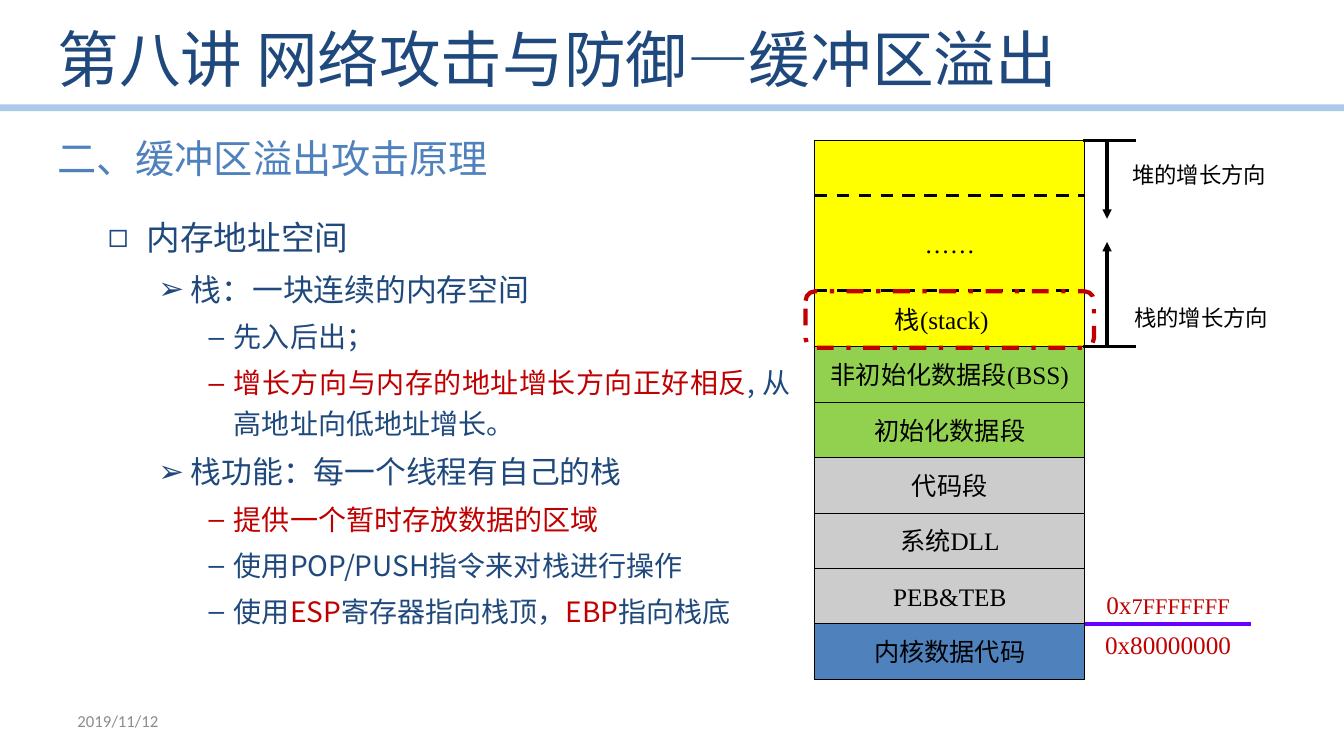
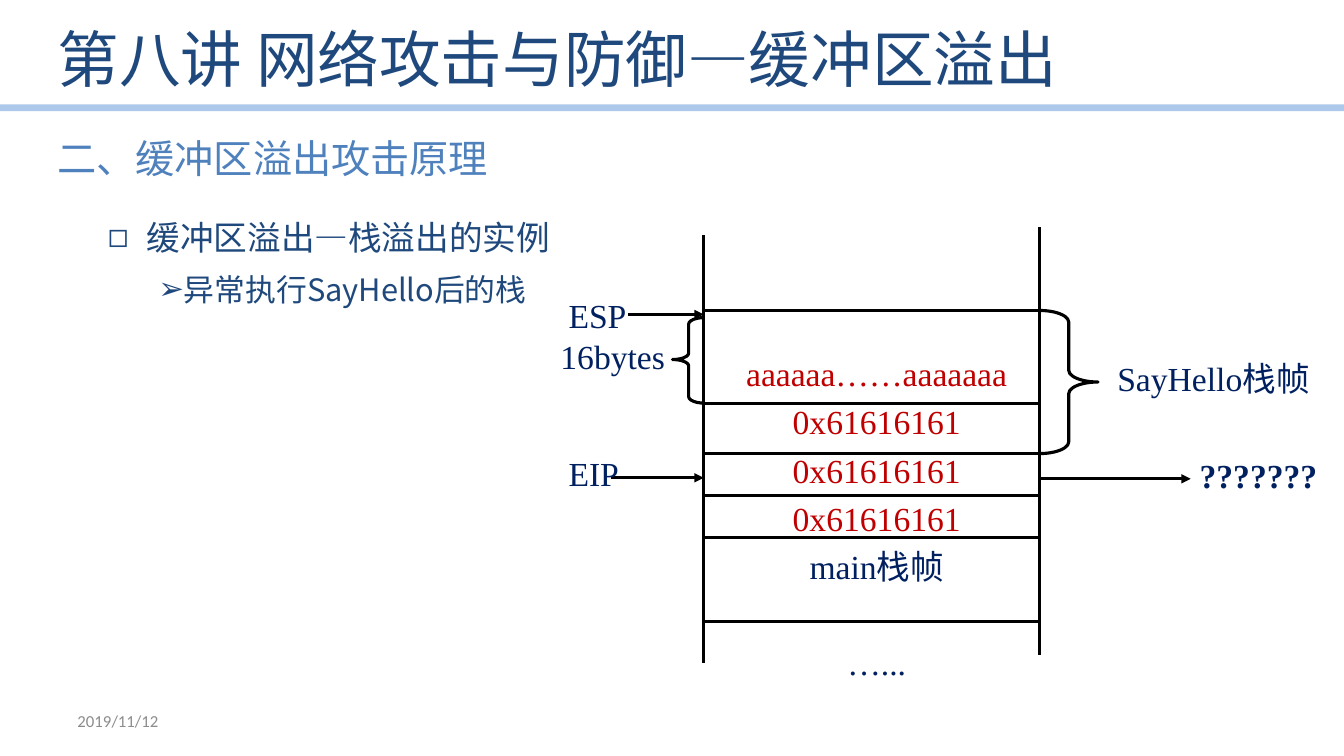
import pptx
import pptx.util
import pptx.dml.color
import pptx.enum.dml
import pptx.enum.shapes
import pptx.enum.text
import pptx.oxml
import pptx.oxml.ns

Inches, Pt = pptx.util.Inches, pptx.util.Pt
ALIGN = pptx.enum.text.PP_ALIGN
ANCHOR = pptx.enum.text.MSO_ANCHOR
SHAPE = pptx.enum.shapes.MSO_SHAPE
DASH = pptx.enum.dml.MSO_LINE

COLORS = {
    "title": "1F497D", "section": "4F81BD", "band": "8EB4E3", "date": "8C8C8C",
    "red": "C00000", "navy": "002060", "black": "000000", "purple": "6600FF",
    "yellow": "FFFF00", "green": "92D050", "gray": "CCCCCC", "blue": "4F81BD",
}
SANS, SERIF, SMALL = "Noto Sans CJK SC", "Times New Roman", "Calibri"

TITLE = "第八讲 网络攻击与防御—缓冲区溢出"
SECTION = "二、缓冲区溢出攻击原理"
DATE = "2019/11/12"
WIDTH, HEIGHT = 13.33, 7.5
MARGIN = 0.47
RULE_Y = 1.07

# level: (bullet, left margin, hanging indent, size)
LEVELS = {
    1: ("◻", 0.81, -0.31, 24),
    2: ("➢", 1.25, -0.25, 22),
    3: ("–", 1.75, -0.25, 20),
}
# each item: level, then (text, colour) runs
MEMORY_POINTS = [
    (1, [(" 内存地址空间", "title")]),
    (2, [(" 栈：一块连续的内存空间", "title")]),
    (3, [("先入后出；", "title")]),
    (3, [("增长方向与内存的地址增长方向正好相反", "red"),
         (", 从高地址向低地址增长。", "title")]),
    (2, [(" 栈功能：每一个线程有自己的栈", "title")]),
    (3, [("提供一个暂时存放数据的区域", "red")]),
    (3, [("使用POP/PUSH指令来对栈进行操作", "title")]),
    (3, [("使用", "title"), ("ESP", "red"), ("寄存器指向栈顶，", "title"),
         ("EBP", "red"), ("指向栈底", "title")]),
]
EXAMPLE_POINTS = [
    (1, [(" 缓冲区溢出—栈溢出的实例", "title")]),
    (2, [("异常执行SayHello后的栈", "title")]),
]
SEGMENTS = [
    ("非初始化数据段(BSS)", "green"), ("初始化数据段", "green"),
    ("代码段", "gray"), ("系统DLL", "gray"), ("PEB&TEB", "gray"),
    ("内核数据代码", "blue"),
]
FRAME_ROWS = [
    ("aaaaaa……aaaaaaa", "red"), ("0x61616161", "red"), ("0x61616161", "red"),
    ("0x61616161", "red"), ("main栈帧", "navy"), ("…...", "navy"),
]


def rgb(name):
    return pptx.dml.color.RGBColor.from_string(COLORS[name])


def add_element(parent, tag, **attributes):
    element = pptx.oxml.parse_xml(f"<a:{tag} {pptx.oxml.ns.nsdecls('a')}/>")
    for key, value in attributes.items():
        element.set(key, value)
    parent.append(element)
    return element


def add_run(para, text, size, color, font=SERIF, bold=False):
    span = para.add_run()
    span.text = text
    for key, value in {"size": Pt(size), "name": font, "bold": bold}.items():
        setattr(span.font, key, value)
    span.font.color.rgb = rgb(color)
    add_element(span.font._element, "ea", typeface=SANS)


def format_frame(frame, wrap=True, anchor=ANCHOR.TOP):
    values = {"word_wrap": wrap, "vertical_anchor": anchor,
              "auto_size": pptx.enum.text.MSO_AUTO_SIZE.NONE}
    for key, value in values.items():
        setattr(frame, key, value)


def add_label(slide, place, runs, align=ALIGN.LEFT, wrap=False, anchor=ANCHOR.TOP):
    """Add a one-paragraph text box; each run holds the arguments of add_run."""
    box = slide.shapes.add_textbox(*map(Inches, place))
    format_frame(box.text_frame, wrap, anchor)
    para = box.text_frame.paragraphs[0]
    para.alignment = align
    for run in runs:
        add_run(para, *run)


def add_line(slide, start, end, color="black", width=2.25, dash=None, arrow=False):
    line = slide.shapes.add_connector(
        pptx.enum.shapes.MSO_CONNECTOR.STRAIGHT, *map(Inches, (*start, *end)))
    line.line.color.rgb = rgb(color)
    line.line.width = Pt(width)
    if dash:
        line.line.dash_style = dash
    if arrow:
        add_element(line.line._ln, "tailEnd", type="triangle")
    add_element(line.element.spPr, "effectLst")
    return line


def add_outline(slide, kind, place, fill=None, color="black", width=2.25, text=None):
    shape = slide.shapes.add_shape(kind, *map(Inches, place))
    shape.shadow.inherit = False
    if fill:
        shape.fill.solid()
        shape.fill.fore_color.rgb = rgb(fill)
    else:
        shape.fill.background()
    shape.line.color.rgb = rgb(color)
    shape.line.width = Pt(width)
    if text:
        format_frame(shape.text_frame, False, ANCHOR.MIDDLE)
        para = shape.text_frame.paragraphs[0]
        para.alignment = ALIGN.CENTER
        add_run(para, text, 18, "black")
    return shape


def place_shape(shape, place):
    for key, value in zip(("left", "top", "width", "height"), place):
        setattr(shape, key, Inches(value))


def fill_list(frame, points):
    format_frame(frame)
    for index, (level, runs) in enumerate(points):
        bullet, margin, indent, size = LEVELS[level]
        para = frame.paragraphs[0] if index == 0 else frame.add_paragraph()
        values = {"level": level, "alignment": ALIGN.JUSTIFY, "line_spacing": 1.2,
                  "space_before": Pt(size * 0.2 if index else 0)}
        for key, value in values.items():
            setattr(para, key, value)
        properties = para._p.get_or_add_pPr()
        properties.set("marL", str(Inches(margin)))
        properties.set("indent", str(Inches(indent)))
        add_element(properties, "buChar", char=bullet)
        for text, color in runs:
            add_run(para, text, size, color, SANS)


def prepare_layout(deck):
    """Place the shared title and body on the layout."""
    layout = deck.slide_layouts[1]
    title, body = list(layout.placeholders)[:2]
    place_shape(title, (MARGIN, 0.09, 11.02, 0.97))
    place_shape(body, (MARGIN, 2.02, 11.31, 4.41))
    return layout


def add_band(slide, layout):
    """Draw the rule under the title and move it to the layout."""
    band = add_line(slide, (0, RULE_Y), (WIDTH, RULE_Y), "band", 4.75)
    for color in band.line._ln.iter(pptx.oxml.ns.qn("a:srgbClr")):
        add_element(color, "alpha", val="73000")
    layout.shapes.element.append(band.element)


def add_page(deck, layout, points):
    slide = deck.slides.add_slide(layout)
    title, body = slide.placeholders
    format_frame(title.text_frame, anchor=ANCHOR.MIDDLE)
    para = title.text_frame.paragraphs[0]
    para.alignment = ALIGN.LEFT
    add_run(para, TITLE, 44, "title", SANS)
    fill_list(body.text_frame, points)
    add_label(slide, (0.67, 6.95, 3.11, 0.4), [(DATE, 12, "date", SMALL)],
              wrap=True, anchor=ANCHOR.MIDDLE)
    add_label(slide, (MARGIN, 1.28, 4.52, 0.57), [(SECTION, 28, "section", SANS)])
    return slide, body


def draw_memory_map(slide):
    left, top, width, row = 8.08, 1.39, 2.68, 0.55
    right, stack_bottom = left + width, 3.44
    kernel_top = stack_bottom + row * (len(SEGMENTS) - 1)
    arrow_x = 10.98

    add_line(slide, (12.41, kernel_top), (left, kernel_top), "purple", 3)
    add_outline(slide, SHAPE.RECTANGLE, (left, top, width, stack_bottom - top),
                "yellow", width=0.75, text="……")
    for index, (text, fill) in enumerate(SEGMENTS):
        add_outline(slide, SHAPE.RECTANGLE,
                    (left, stack_bottom + index * row, width, row),
                    fill, width=0.75, text=text)
    add_label(slide, (8, 2.81, width, 0.71), [("栈(stack)", 18, "black")],
              ALIGN.CENTER, anchor=ANCHOR.MIDDLE)
    for y in (top + row, stack_bottom - row - 0.01):
        add_line(slide, (left, y), (right, y), dash=DASH.DASH)
    growth = [("堆的增长方向", top, 2.17, (11.13, 1.55)),
              ("栈的增长方向", stack_bottom, 2.4, (11.15, 2.97))]
    for text, start, end, corner in growth:
        add_line(slide, (10.74, start), (11.27, start))
        add_line(slide, (arrow_x, start), (arrow_x, end), arrow=True)
        add_label(slide, (*corner, 1.6, 0.39), [(text, 16, "black")],
                  ALIGN.JUSTIFY, wrap=True)
    add_label(slide, (10.52, 5.8, 2.13, 0.41),
              [("0x", 18, "red"), ("7FFFFFFF", 16, "red")], ALIGN.CENTER, wrap=True)
    add_label(slide, (10.6, kernel_top, 1.97, 0.41),
              [("0x80000000", 18, "red")], ALIGN.CENTER, wrap=True)
    marker = add_outline(slide, SHAPE.ROUNDED_RECTANGLE, (7.99, 2.89, 2.86, 0.56),
                         color="red", width=3)
    marker.line.dash_style = DASH.DASH_DOT


def draw_stack_frame(slide):
    left, right, top = 6.98, 10.31, 3.08
    buffer_height, frame_height = 0.92, 1.42

    box = slide.shapes.add_textbox(*map(Inches, (7.29, 3.37, 2.81, 3.5)))
    format_frame(box.text_frame, False)
    for index, (text, color) in enumerate(FRAME_ROWS):
        para = box.text_frame.paragraphs[0] if index == 0 else box.text_frame.add_paragraph()
        para.alignment, para.line_spacing = ALIGN.CENTER, 1.2
        para.space_before = Pt(34 if index == len(FRAME_ROWS) - 1 else 0)
        add_run(para, text, 24, color)

    add_outline(slide, SHAPE.RECTANGLE, (left, top, right - left, buffer_height))
    for x, start in ((left, 2.33), (right, 2.25)):
        add_line(slide, (x, start), (x, start + 4.25))
    for y in (4.5, 4.92, 5.33, 6.17):
        add_line(slide, (left, y), (right, y))
    for start, end, y in ((6.23, left, 3.12), (6.06, left, 4.74), (right, 11.81, 4.75)):
        add_line(slide, (start, y), (end, y), arrow=True)

    braces = [((right, top, 0.58, frame_height), 0.5, 0),
              ((6.67, 3.15, 0.32, 0.85), 0.51, 180)]
    for place, middle, rotation in braces:
        brace = add_outline(slide, SHAPE.RIGHT_BRACE, place)
        brace.adjustments[0], brace.adjustments[1] = 0.2, middle
        brace.rotation = rotation

    labels = [("ESP", 5.54, 2.88, 0.78), ("16bytes", 5.46, 3.28, 1.25),
              ("EIP", 5.54, 4.44, 0.71)]
    for text, x, y, width in labels:
        add_label(slide, (x, y, width, 0.5), [(text, 24, "navy")])
    add_label(slide, (10.9, 3.5, 2.19, 0.9), [(" SayHello栈帧", 24, "navy")], wrap=True)
    add_label(slide, (11.8, 4.46, 1.37, 0.5), [("???????", 24, "navy", SERIF, True)])


def main():
    deck = pptx.Presentation()
    deck.slide_width, deck.slide_height = Inches(WIDTH), Inches(HEIGHT)
    layout = prepare_layout(deck)

    memory_page, memory_body = add_page(deck, layout, MEMORY_POINTS)
    add_band(memory_page, layout)
    place_shape(memory_body, (MARGIN, 2.02, 7.47, 4.41))
    draw_memory_map(memory_page)

    example_page, _ = add_page(deck, layout, EXAMPLE_POINTS)
    draw_stack_frame(example_page)
    deck.save("out.pptx")


if __name__ == "__main__":
    main()
